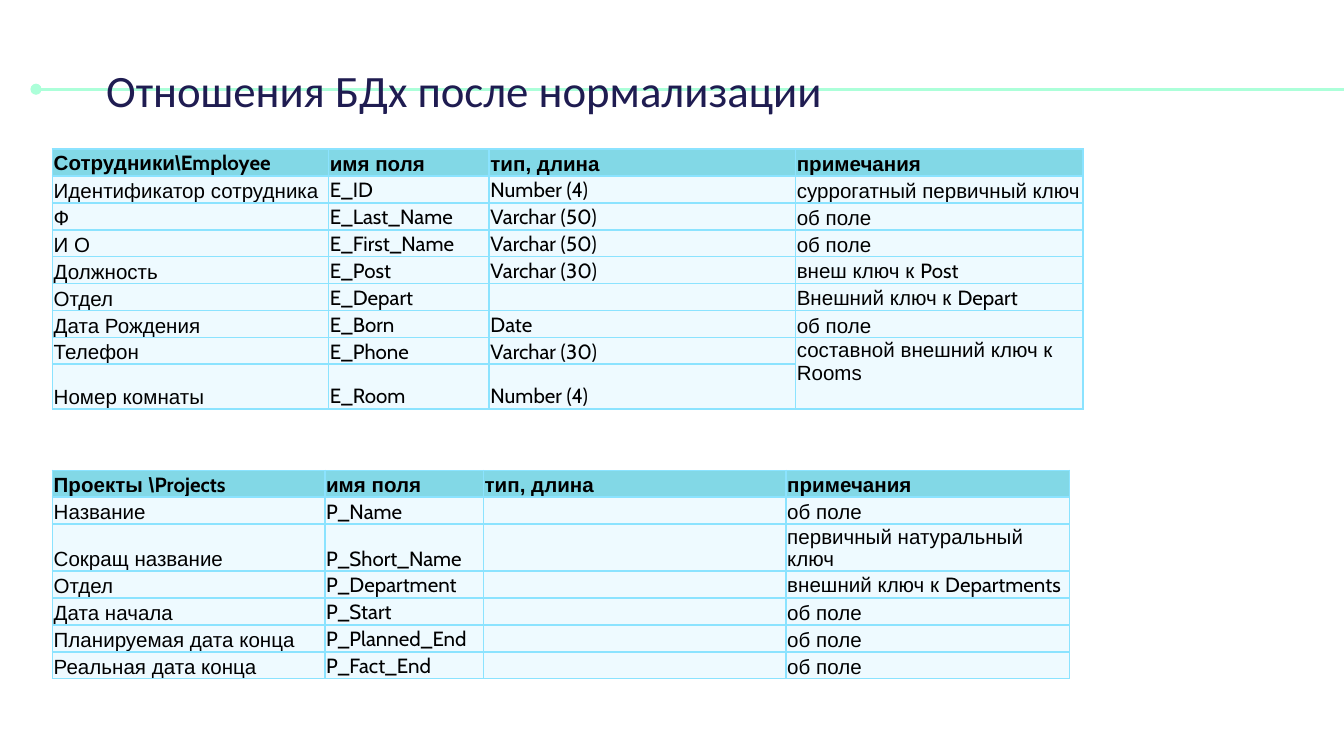
from lxml import etree
from pptx import Presentation
from pptx.dml import color
from pptx.enum import shapes, text
from pptx.oxml import ns
from pptx.util import Pt

HEADINGS = ["имя поля", "тип, длина", "примечания"]
ROW_HEIGHT = 14.4

# "|" separates spans of different fonts
EMPLOYEE = [
    ["Сотрудники\\|Employee", *HEADINGS],
    ["Идентификатор сотрудника", "E_ID", "Number (4)", "cуррогатный первичный ключ"],
    ["Ф", "E_Last_Name", "Varchar (50)", "об поле"],
    ["И О", "E_First_Name", "Varchar (50)", "об поле"],
    ["Должность", "E_Post", "Varchar (30)", "внеш ключ к |Post"],
    ["Отдел", "E_Depart", "", "Внешний ключ к |Depart"],
    ["Дата Рождения", "E_Born", "Date", "об поле"],
    ["Телефон", "E_Phone", "Varchar (30)", "составной внешний ключ к Rooms"],
    ["Номер комнаты", "E_Room", "Number (4)", ""],
]
PROJECTS = [
    ["Проекты \\|Projects", *HEADINGS],
    ["Название", "P_Name", "", "об поле"],
    ["Сокращ название", "P_Short_Name", "", "первичный натуральный ключ"],
    ["Отдел", "P_Department", "", "внешний ключ к |Departments"],
    ["Дата начала", "P_Start", "", "об поле"],
    ["Планируемая дата конца", "P_Planned_End", "", "об поле"],
    ["Реальная дата конца", "P_Fact_End", "", "об поле"],
]


def rgb(value):
    return color.RGBColor.from_string(value)


def add_span(para, words, font, size, ink, bold=False):
    span = para.add_run()
    span.text = words
    span.font.name = font
    span.font.size = Pt(size)
    span.font.bold = bold
    span.font.color.rgb = rgb(ink)


def add_title(page, words, left, top, width, height):
    title = page.shapes.title
    title.left, title.top, title.width, title.height = map(Pt, (left, top, width, height))
    frame = title.text_frame
    frame.margin_left = frame.margin_right = frame.margin_top = frame.margin_bottom = Pt(7.2)
    frame.word_wrap = True
    frame.auto_size = text.MSO_AUTO_SIZE.NONE
    frame.vertical_anchor = text.MSO_ANCHOR.MIDDLE
    para = frame.paragraphs[0]
    para.alignment = text.PP_ALIGN.LEFT
    add_span(para, words, "Calibri", 24, "1F1C51")


def add_rule(page, left, right, y):
    """Draw the dotted-end line behind the title."""
    rule = page.shapes.add_connector(
        shapes.MSO_CONNECTOR.STRAIGHT, Pt(left), Pt(y), Pt(right), Pt(y))
    rule.line.color.rgb = rgb("ACFFD9")
    rule.line.width = Pt(1.5)
    etree.SubElement(rule.line._get_or_add_ln(), ns.qn("a:headEnd"), type="oval")
    etree.SubElement(rule._element.spPr, ns.qn("a:effectLst"))
    page.shapes._spTree.insert(2, rule._element)


def add_borders(cell, ink, width):
    properties = cell._tc.get_or_add_tcPr()
    for side in ("lnL", "lnR", "lnT", "lnB"):
        border = etree.SubElement(properties, ns.qn(f"a:{side}"), w=str(Pt(width)))
        fill = etree.SubElement(border, ns.qn("a:solidFill"))
        etree.SubElement(fill, ns.qn("a:srgbClr"), val=ink)


def fill_cell(cell, words, heading):
    add_borders(cell, "8BE3FF", 1)
    cell.fill.solid()
    cell.fill.fore_color.rgb = rgb("82D8E6" if heading else "EEFAFF")
    cell.vertical_anchor = text.MSO_ANCHOR.BOTTOM
    cell.margin_left = cell.margin_right = cell.margin_top = Pt(0.7)
    cell.margin_bottom = 0
    para = cell.text_frame.paragraphs[0]
    for part in filter(None, words.split("|")):
        cyrillic = any("А" <= letter <= "я" for letter in part)
        add_span(para, part, "Arial" if cyrillic else "Cabin", 11, "000000", heading)
    if not words:
        para._p.get_or_add_endParaRPr().set("sz", "1100")


def add_field_table(page, records, left, top, widths, tall_row, tall_height):
    height = ROW_HEIGHT * (len(records) - 1) + tall_height
    table = page.shapes.add_table(
        len(records), len(widths), Pt(left), Pt(top), Pt(sum(widths)), Pt(height)).table
    table.first_row = table.horz_banding = False
    for column, width in zip(table.columns, widths):
        column.width = Pt(width)
    for number, record in enumerate(records):
        table.rows[number].height = Pt(tall_height if number == tall_row else ROW_HEIGHT)
        for place, words in enumerate(record):
            fill_cell(table.cell(number, place), words, number == 0)
    return table


def build_relations_page(deck):
    page = deck.slides.add_slide(deck.slide_layouts[5])
    add_rule(page, 19.3, 720, 47.8)
    add_title(page, "Отношения БДх после нормализации", 49.7, 26.6, 478.8, 42.5)
    employee = add_field_table(
        page, EMPLOYEE, 28.1, 79.9, [147.9, 86.1, 164.1, 154.1], 8, 24)
    rooms_key = employee.cell(7, 3)
    rooms_key.merge(employee.cell(8, 3))
    rooms_key.vertical_anchor = text.MSO_ANCHOR.TOP
    add_field_table(page, PROJECTS, 28.1, 252, [145.9, 85, 162.1, 151.9], 2, 25)


def main():
    deck = Presentation()
    deck.slide_width, deck.slide_height = Pt(720), Pt(405)
    build_relations_page(deck)
    deck.save("out.pptx")


if __name__ == "__main__":
    main()
